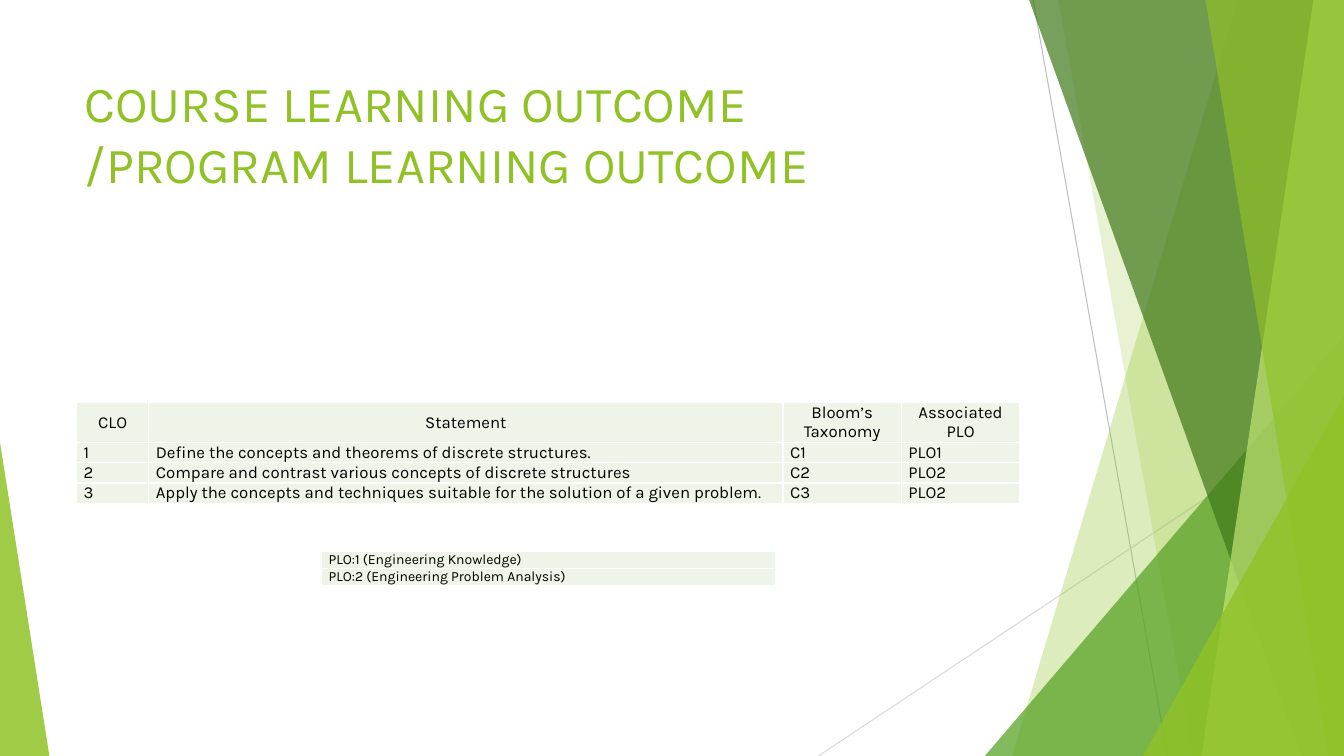
from lxml import etree
from pptx import Presentation, util as u
from pptx.dml.color import RGBColor
from pptx.enum import shapes, text
from pptx.oxml import ns

LIME = RGBColor(0x90, 0xC2, 0x26)
PALE_LIME = RGBColor(0xC0, 0xE4, 0x74)
GREEN = RGBColor(0x54, 0xA0, 0x21)
DARK_GREEN = RGBColor(0x3F, 0x78, 0x19)
CELL = RGBColor(0xEE, 0xF4, 0xE8)
SILVER = RGBColor(0xBF, 0xBF, 0xBF)
LIGHT_GRAY = RGBColor(0xD9, 0xD9, 0xD9)
BLACK = RGBColor(0, 0, 0)
WHITE = RGBColor(0xFF, 0xFF, 0xFF)

FONT = "Karla"
COLUMNS, ROWS = 160, 90
UNIT = u.Inches(1) // 12


def grid(*lengths):
    return [round(length * UNIT) for length in lengths]


class SlideBuilder:
    def __init__(self, presentation):
        self.slide = presentation.slides.add_slide(presentation.slide_layouts[6])
        self.shapes = self.slide.shapes

    def style_text(self, paragraph, size, color):
        paragraph.font.name = FONT
        paragraph.font.size = u.Pt(size)
        paragraph.font.color.rgb = color

    def paint(self, shape, color, opacity):
        shape.shadow.inherit = False
        shape.line.fill.background()
        shape.fill.solid()
        shape.fill.fore_color.rgb = color
        color_element = shape.fill._xPr.find(".//" + ns.qn("a:srgbClr"))
        etree.SubElement(color_element, ns.qn("a:alpha"), val=str(opacity * 1000))

    def line(self, start, end, color):
        connector = self.shapes.add_connector(
            shapes.MSO_CONNECTOR.STRAIGHT, *grid(*start, *end))
        connector.line.color.rgb = color
        connector.line.width = u.Pt(0.75)
        etree.SubElement(connector._element.spPr, ns.qn("a:effectLst"))

    def panel(self, top_column, bottom_column, color, opacity):
        builder = self.shapes.build_freeform(*grid(top_column, 0))
        corners = [(COLUMNS, 0), (COLUMNS, ROWS), (bottom_column, ROWS)]
        builder.add_line_segments([grid(*corner) for corner in corners])
        self.paint(builder.convert_to_shape(), color, opacity)

    def corner(self, left, right, top, apex, color, opacity):
        triangle = self.shapes.add_shape(
            shapes.MSO_SHAPE.ISOSCELES_TRIANGLE,
            *grid(left, top, right - left, ROWS - top))
        triangle.adjustments[0] = apex
        self.paint(triangle, color, opacity)

    def title(self, lines, left, top, width, height):
        box = self.shapes.add_textbox(*grid(left, top, width, height))
        box.text_frame.word_wrap = True
        paragraph = box.text_frame.paragraphs[0]
        for index, line in enumerate(lines):
            if index:
                paragraph.add_line_break()
            paragraph.add_run().text = line
        self.style_text(paragraph, 36, LIME)

    def border(self, cell):
        properties = cell._tc.get_or_add_tcPr()
        for side in ("lnL", "lnR", "lnT", "lnB"):
            line = etree.SubElement(properties, ns.qn("a:" + side), w=str(u.Pt(1)))
            fill = etree.SubElement(line, ns.qn("a:solidFill"))
            etree.SubElement(fill, ns.qn("a:srgbClr"), val=str(WHITE))

    def table(self, records, left, top, widths, heights, size, header=False):
        table = self.shapes.add_table(
            len(records), len(widths),
            *grid(left, top, sum(widths), sum(heights))).table
        table.first_row = table.horz_banding = False
        for column, width in zip(table.columns, grid(*widths)):
            column.width = width
        for row, height in zip(table.rows, grid(*heights)):
            row.height = height
        for row_index, record in enumerate(records):
            for column_index, value in enumerate(record):
                cell = table.cell(row_index, column_index)
                cell.margin_left = cell.margin_right = u.Inches(0.07)
                cell.margin_top = cell.margin_bottom = 0
                self.border(cell)
                cell.fill.solid()
                cell.fill.fore_color.rgb = CELL
                cell.text = value
                paragraph = cell.text_frame.paragraphs[0]
                self.style_text(paragraph, size, BLACK)
                if header and row_index == 0:
                    cell.vertical_anchor = text.MSO_ANCHOR.MIDDLE
                    paragraph.alignment = text.PP_ALIGN.CENTER


def main():
    presentation = Presentation()
    presentation.slide_width, presentation.slide_height = grid(COLUMNS, ROWS)
    builder = SlideBuilder(presentation)

    builder.line((123, 0), (139, ROWS), SILVER)
    builder.line((COLUMNS, 48.36), (97.44, ROWS), LIGHT_GRAY)
    builder.panel(147.36, 120.48, LIME, 30)
    builder.panel(126, 142, LIME, 20)
    builder.corner(117.24, COLUMNS, 40, 1, GREEN, 72)
    builder.panel(122.52, 154.92, DARK_GREEN, 70)
    builder.panel(156.36, 143.04, PALE_LIME, 70)
    builder.panel(143.52, 158.16, LIME, 65)
    builder.corner(136.08, COLUMNS, 47.16, 1, LIME, 80)
    builder.corner(0, 5.88, 52.68, 0, LIME, 85)

    builder.title(["COURSE LEARNING OUTCOME", "/PROGRAM LEARNING OUTCOME"],
                  8.88, 8.04, 112.8, 17.28)

    outcomes = [
        ("CLO", "Statement", "Bloom’s Taxonomy", "Associated PLO"),
        ("1", "Define the concepts and theorems of discrete structures.", "C1", "PLO1"),
        ("2", "Compare and contrast various concepts of discrete structures", "C2", "PLO2"),
        ("3", "Apply the concepts and techniques suitable for the solution of a given problem.",
         "C3", "PLO2"),
    ]
    builder.table(outcomes, 9.12, 47.88, [8.6, 75.5, 14.1, 14.1],
                  [4.6] + [2.3] * 3, 12, header=True)

    programs = [("PLO:1 (Engineering Knowledge)",),
                ("PLO:2 (Engineering Problem Analysis)",)]
    builder.table(programs, 38.28, 65.64, [54], [1.9] * 2, 10)

    presentation.save("out.pptx")


if __name__ == "__main__":
    main()
